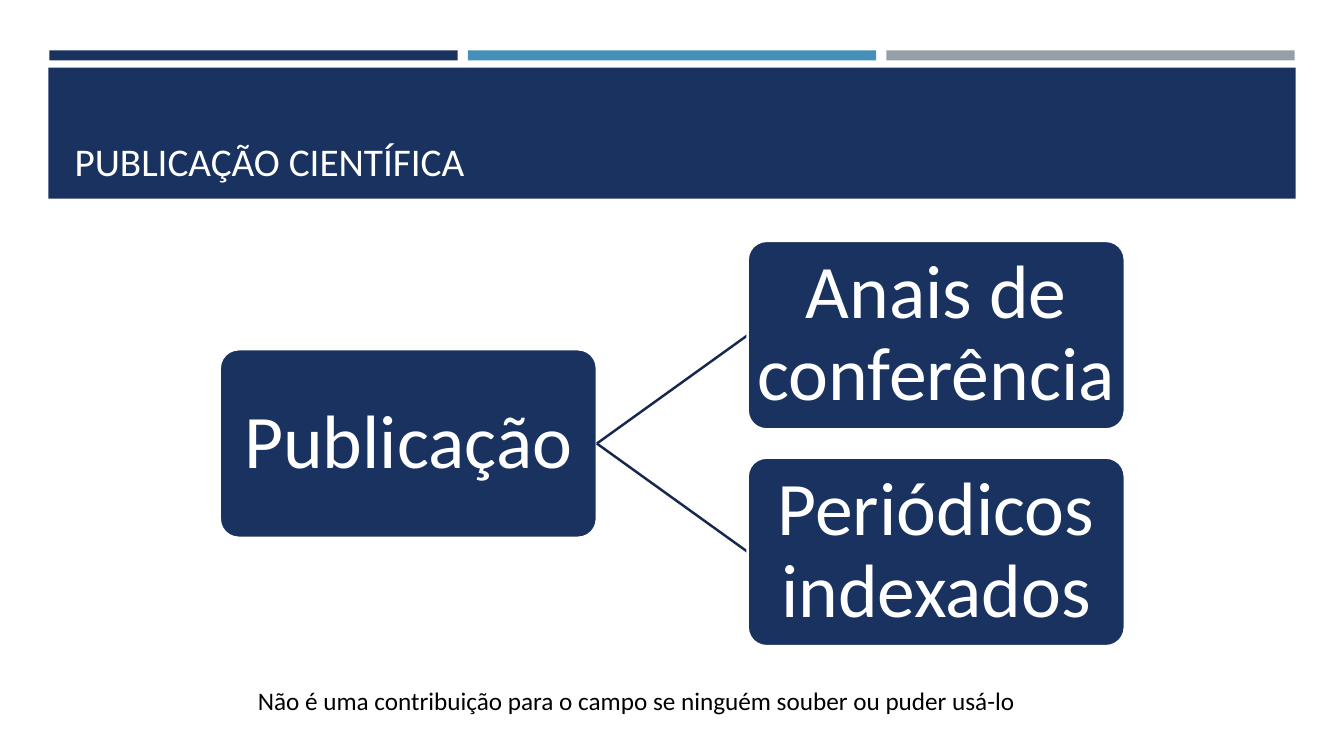
from dataclasses import dataclass

from lxml import etree
from pptx import Presentation
from pptx import util as u
from pptx.dml.color import RGBColor
from pptx.enum import shapes, text
from pptx.oxml.ns import qn

HUES = {"navy": "1A3260", "blue": "4590B8", "gray": "969FA7",
        "link": "15284D", "white": "FFFFFF", "black": "000000"}
FONT = "Calibri"

# Tree grid, in inches: a box is half as high as wide
LEFT, TOP = 2.18, 2.39
WIDE = 3.74
HIGH = WIDE / 2
COL, ROW = 1.4 * WIDE, 1.15 * HIGH
STROKE = 1.75


@dataclass(frozen=True)
class Node:
    label: str
    col: float
    row: float

    @property
    def left(self) -> float:
        return LEFT + self.col * COL

    @property
    def top(self) -> float:
        return TOP + self.row * ROW

    @property
    def mid(self) -> float:
        return self.top + HIGH / 2


ROOT = Node("Publicação", 0, 0.5)
LEAVES = [Node("Anais de conferência", 1, 0),
          Node("Periódicos indexados", 1, 1)]


def tint(name: str) -> RGBColor:
    return RGBColor.from_string(HUES[name])


def write(shape, words: str, size: float, hue: str = "white",
          align=text.PP_ALIGN.LEFT, anchor=text.MSO_ANCHOR.TOP,
          lead: float = 1.0, inset: float | None = None) -> None:
    frame = shape.text_frame
    frame.word_wrap = True
    frame.auto_size = text.MSO_AUTO_SIZE.NONE
    frame.vertical_anchor = anchor
    if inset is not None:
        frame.margin_left = frame.margin_right = u.Inches(inset)
        frame.margin_top = frame.margin_bottom = u.Inches(inset)
    par = frame.paragraphs[0]
    par.alignment = align
    par.line_spacing = lead
    run = par.add_run()
    run.text = words
    run.font.name = FONT
    run.font.size = u.Pt(size)
    run.font.color.rgb = tint(hue)


def block(slide, kind, hue: str, left: float, top: float,
          wide: float, high: float):
    """Add a filled shape without line or shadow."""
    shape = slide.shapes.add_shape(kind, *map(u.Inches, (left, top, wide, high)))
    shape.shadow.inherit = False
    shape.fill.solid()
    shape.fill.fore_color.rgb = tint(hue)
    shape.line.fill.background()
    return shape


def band(slide) -> None:
    """Draw the three thin bars and the title band below them."""
    rect = shapes.MSO_SHAPE.RECTANGLE
    for i, hue in enumerate(("navy", "blue", "gray")):
        block(slide, rect, hue, 0.49 + i * 4.15, 0.5, 4.05, 0.1)
    block(slide, rect, "navy", 0.48, 0.67, 12.37, 1.3)


def head(slide) -> None:
    title = slide.shapes.title
    title.left, title.top = u.Inches(0.64), u.Inches(0.77)
    title.width, title.height = u.Inches(12.06), u.Inches(1.11)
    write(title, "PUBLICAÇÃO CIENTÍFICA", 28, anchor=text.MSO_ANCHOR.BOTTOM)
    slide.shapes._spTree.append(title._element)  # bring above the band


def box(slide, node: Node) -> None:
    shape = block(slide, shapes.MSO_SHAPE.ROUNDED_RECTANGLE, "navy",
                  node.left, node.top, WIDE, HIGH)
    shape.adjustments[0] = 0.1
    shape.line.color.rgb = tint("white")
    shape.line.width = u.Pt(STROKE)
    # the rounded corners already push the text inwards
    write(shape, node.label, 54, align=text.PP_ALIGN.CENTER,
          anchor=text.MSO_ANCHOR.MIDDLE, lead=0.9, inset=0.03)


def link(slide, start: Node, end: Node) -> None:
    ends = (start.left + WIDE, start.mid, end.left, end.mid)
    line = slide.shapes.add_connector(shapes.MSO_CONNECTOR.STRAIGHT,
                                      *map(u.Inches, ends))
    line.line.color.rgb = tint("link")
    line.line.width = u.Pt(STROKE)
    etree.SubElement(line._element.spPr, qn("a:effectLst"))


def main() -> None:
    deck = Presentation()
    deck.slide_width, deck.slide_height = u.Inches(13.33), u.Inches(7.5)
    slide = deck.slides.add_slide(deck.slide_layouts.get_by_name("Title Only"))
    band(slide)
    head(slide)
    box(slide, ROOT)
    for leaf in LEAVES:
        link(slide, ROOT, leaf)
        box(slide, leaf)
    note = slide.shapes.add_textbox(*map(u.Inches, (2.46, 6.75, 8.42, 0.4)))
    write(note, "Não é uma contribuição para o campo se ninguém souber "
                "ou puder usá-lo", 18, hue="black")
    deck.save("out.pptx")


if __name__ == "__main__":
    main()
